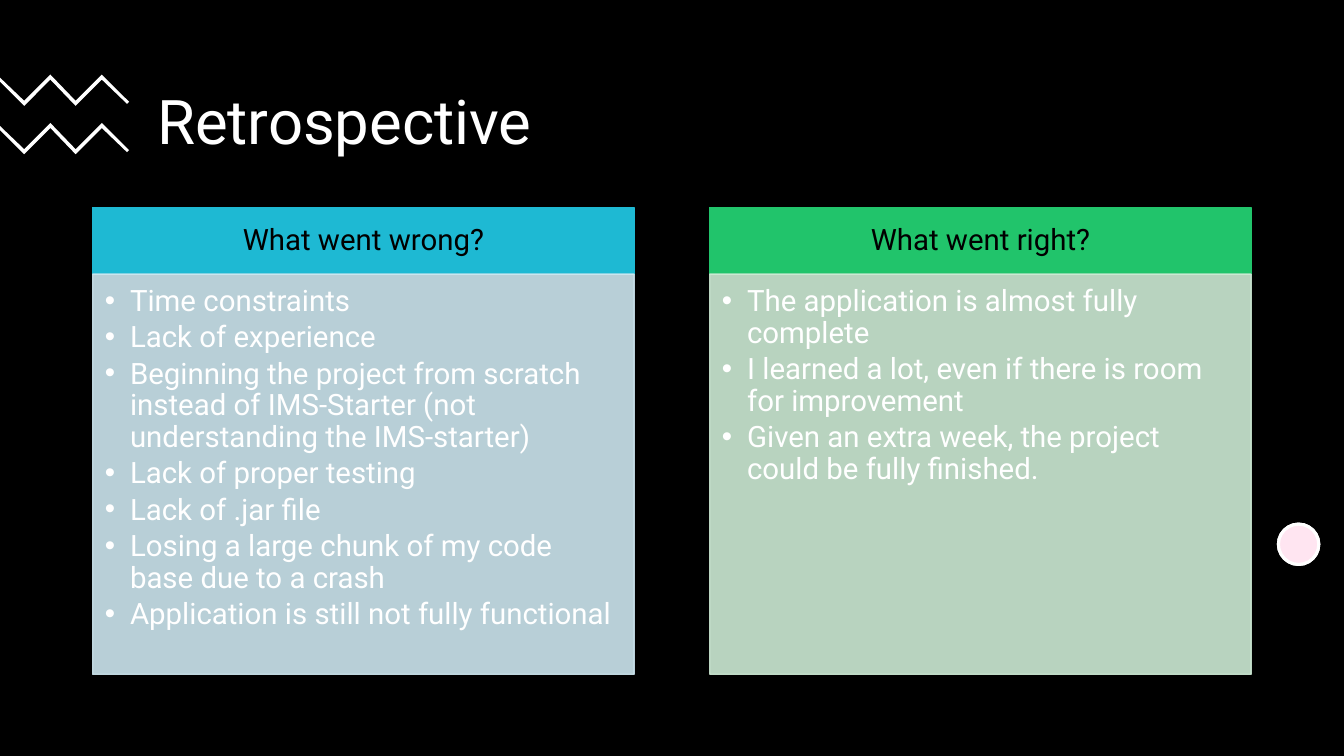
import pptx
import pptx.dml.color
import pptx.enum.shapes
import pptx.enum.text
import pptx.oxml
import pptx.oxml.ns
import pptx.util

RGBColor = pptx.dml.color.RGBColor
Shape = pptx.enum.shapes.MSO_SHAPE
Anchor = pptx.enum.text.MSO_ANCHOR
Align = pptx.enum.text.PP_ALIGN
qn = pptx.oxml.ns.qn

EMU_PER_PX = 9144
FONT = "Roboto"

BLACK = RGBColor(0x00, 0x00, 0x00)
WHITE = RGBColor(0xFF, 0xFF, 0xFF)
PINK = RGBColor(0xFF, 0x80, 0xBD)
CYAN = RGBColor(0x1E, 0xB9, 0xD3)
PALE_CYAN = RGBColor(0xCD, 0xE6, 0xEF)
GREEN = RGBColor(0x21, 0xC4, 0x6B)
PALE_GREEN = RGBColor(0xCD, 0xEA, 0xD4)

COLUMN_WIDTH = 537
COLUMN_TOP = 206
HEADER_HEIGHT = 66
BODY_HEIGHT = 397
COLUMNS = [
    (92, CYAN, PALE_CYAN, "What went wrong?", [
        "Time constraints",
        "Lack of experience",
        "Beginning the project from scratch instead of IMS-Starter "
        "(not understanding the IMS-starter)",
        "Lack of proper testing",
        "Lack of .jar file",
        "Losing a large chunk of my code base due to a crash",
        "Application is still not fully functional",
    ]),
    (704, GREEN, PALE_GREEN, "What went right?", [
        "The application is almost fully complete",
        "I learned a lot, even if there is room for improvement",
        "Given an extra week, the project could be fully finished.",
    ]),
]

ZIGZAG = [(50, 74), (75, 100), (101, 74), (128, 101), (126, 103), (101, 79),
          (75, 105), (50, 79), (24, 105), (0, 81), (0, 77), (24, 100)]
ZIGZAG_STEP = 48

TITLE_FRAME = {"word_wrap": True, "vertical_anchor": Anchor.MIDDLE}
HEADER_FRAME = {**TITLE_FRAME, "margin_left": 16, "margin_top": 9,
                "margin_right": 16, "margin_bottom": 9}
BODY_FRAME = {"word_wrap": True, "vertical_anchor": Anchor.TOP,
              "margin_left": 12, "margin_top": 12,
              "margin_right": 16, "margin_bottom": 18}
TITLE_PARAGRAPH = {"alignment": Align.LEFT, "line_spacing": 0.9}
HEADER_PARAGRAPH = {"alignment": Align.CENTER, "line_spacing": 0.9}
BODY_PARAGRAPH = {**TITLE_PARAGRAPH, "space_after": pptx.util.Pt(3.2)}


def px(length):
    return pptx.util.Emu(length * EMU_PER_PX)


def set_all(target, values):
    for name, value in values.items():
        setattr(target, name, px(value) if name.startswith("margin") else value)


def set_opacity(color_format, percent):
    """Add an alpha value to a solid fill or line that already has a colour."""
    for color in color_format.iter(qn("a:srgbClr")):
        alpha = color.makeelement(qn("a:alpha"), {"val": str(percent * 1000)})
        color.append(alpha)


def add_bullet(paragraph):
    properties = paragraph._p.get_or_add_pPr()
    properties.set("marL", str(px(25)))
    properties.set("indent", str(px(-25)))
    properties.append(pptx.oxml.parse_xml(
        '<a:buFont xmlns:a="http://schemas.openxmlformats.org/drawingml/2006/main"'
        ' typeface="Arial"/>'))
    properties.append(properties.makeelement(qn("a:buChar"), {"char": "•"}))


def write(shape, lines, size, color, frame_format, paragraph_format, bullets=False):
    frame = shape.text_frame
    set_all(frame, frame_format)
    frame.text = "\n".join(lines)
    for paragraph in frame.paragraphs:
        set_all(paragraph, paragraph_format)
        set_all(paragraph.runs[0].font, {"name": FONT, "size": pptx.util.Pt(size)})
        paragraph.runs[0].font.color.rgb = color
        if bullets:
            add_bullet(paragraph)


def add_filled(slide, kind, box, fill, line, line_width):
    shape = slide.shapes.add_shape(kind, *map(px, box))
    shape.shadow.inherit = False
    shape.fill.solid()
    shape.fill.fore_color.rgb = fill
    shape.line.color.rgb = line
    shape.line.width = pptx.util.Pt(line_width)
    return shape


def add_title(slide, text):
    title = slide.shapes.add_textbox(*map(px, (146, 62, 1066, 123)))
    write(title, [text], 44, WHITE, TITLE_FRAME, TITLE_PARAGRAPH)


def add_zigzag(slide, drop):
    start, *rest = [(x, y + drop) for x, y in ZIGZAG]
    builder = slide.shapes.build_freeform(*start, scale=EMU_PER_PX)
    builder.add_line_segments(rest, close=True)
    zigzag = builder.convert_to_shape()
    zigzag.shadow.inherit = False
    zigzag.fill.solid()
    zigzag.fill.fore_color.rgb = WHITE
    zigzag.line.fill.background()


def add_dot(slide):
    """Draw a white disc with a translucent pink one over it."""
    box = (1268, 520, 40, 40)
    add_filled(slide, Shape.OVAL, box, WHITE, WHITE, 2.25)
    tint = add_filled(slide, Shape.OVAL, box, PINK, WHITE, 2.25)
    set_opacity(tint._element.spPr.find(qn("a:solidFill")), 20)


def add_column(slide, left, strong, pale, heading, points):
    header = add_filled(slide, Shape.RECTANGLE,
                        (left, COLUMN_TOP, COLUMN_WIDTH, HEADER_HEIGHT),
                        strong, strong, 1)
    write(header, [heading], 21, BLACK, HEADER_FRAME, HEADER_PARAGRAPH)
    body = add_filled(slide, Shape.RECTANGLE,
                      (left, COLUMN_TOP + HEADER_HEIGHT, COLUMN_WIDTH, BODY_HEIGHT),
                      pale, pale, 1)
    set_opacity(body._element.spPr, 90)
    write(body, points, 21, WHITE, BODY_FRAME, BODY_PARAGRAPH, bullets=True)


def main():
    deck = pptx.Presentation()
    set_all(deck, {"slide_width": px(1333), "slide_height": px(750)})
    slide = deck.slides.add_slide(deck.slide_layouts[6])
    slide.background.fill.solid()
    slide.background.fill.fore_color.rgb = BLACK

    add_title(slide, "Retrospective")
    for row in range(2):
        add_zigzag(slide, row * ZIGZAG_STEP)
    add_dot(slide)
    for column in COLUMNS:
        add_column(slide, *column)

    deck.save("out.pptx")


if __name__ == "__main__":
    main()
